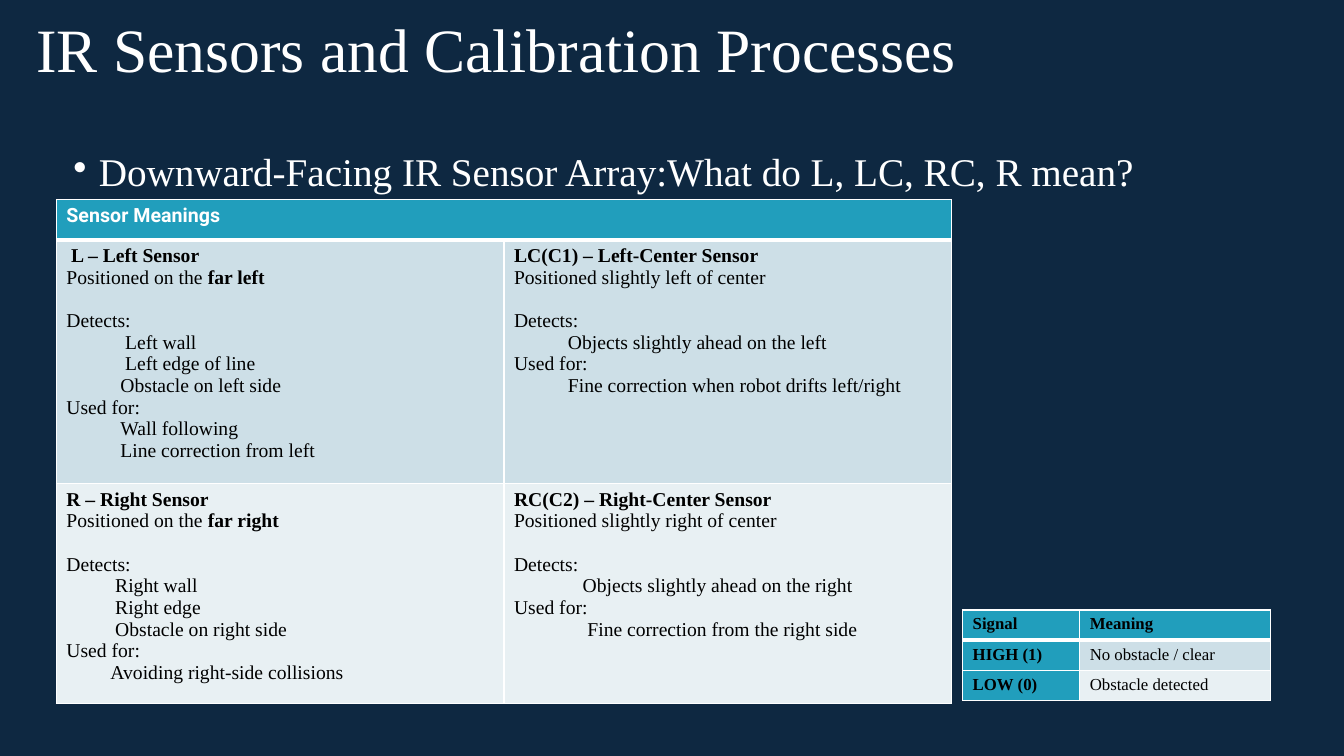
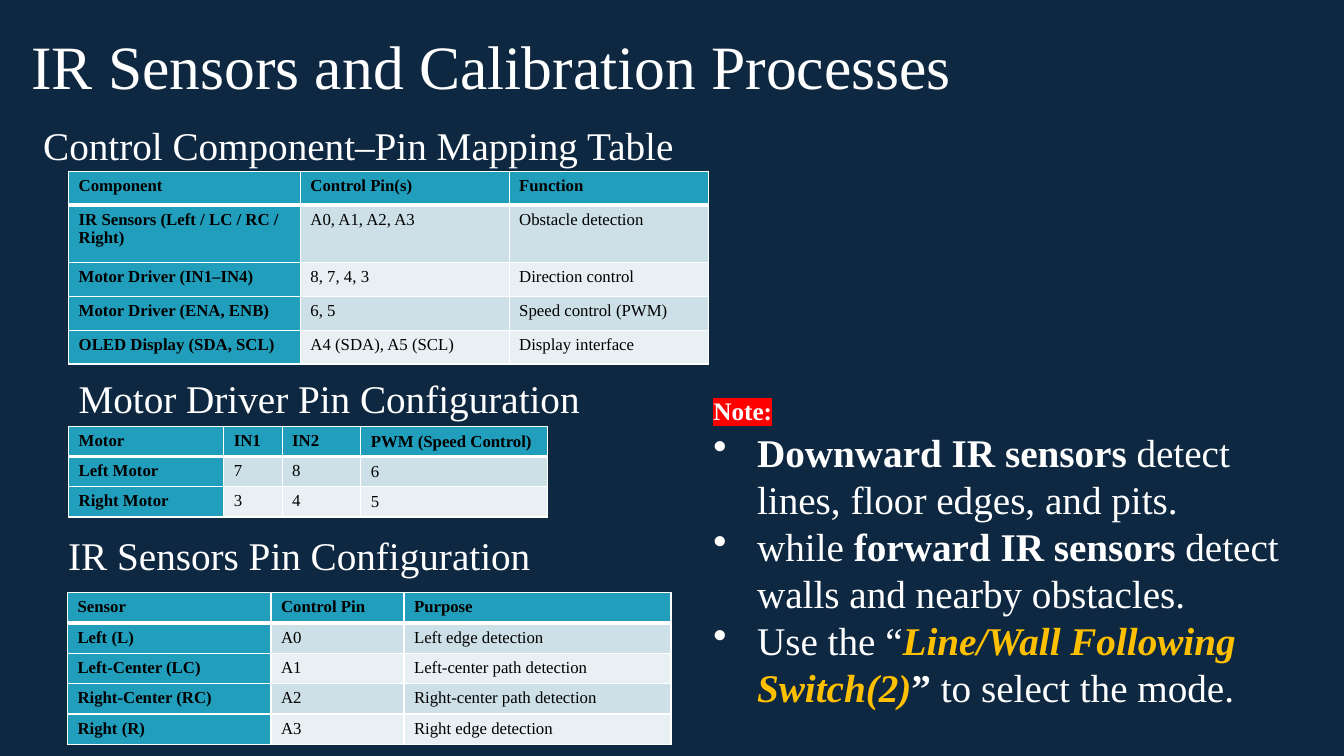
import pptx
import pptx.dml.color
import pptx.enum.text
import pptx.oxml.ns
import pptx.util
from lxml import etree
from pptx.util import Cm

# Shared look
NAVY, TEAL, WHITE, BLACK = "0E2841", "219EBC", "FFFFFF", "000000"
BAND_FILLS = ("CDDFE7", "E8F0F3")
RED, AMBER = "FF0000", "FFC000"
SERIF, SANS = "Times New Roman", "Roboto"
TITLE = "IR Sensors and Calibration Processes"
MIDDLE = pptx.enum.text.MSO_ANCHOR.MIDDLE
LEFT = pptx.enum.text.PP_ALIGN.LEFT
qn = pptx.oxml.ns.qn

# Table contents: sensor paragraphs are (indent in cm, text), *bold*
DETECTS, USED_FOR = (0, "Detects:"), (0, "Used for:")
SENSORS = [
    [[(0.12, "*L – Left Sensor*"), (0, "Positioned on the *far left*"),
      DETECTS, (1.48, "Left wall"), (1.48, "Left edge of line"),
      (1.36, "Obstacle on left side"),
      USED_FOR, (1.36, "Wall following"), (1.36, "Line correction from left")],
     [(0, "*LC(C1) – Left-Center Sensor*"),
      (0, "Positioned slightly left of center"),
      DETECTS, (1.36, "Objects slightly ahead on the left"),
      USED_FOR, (1.36, "Fine correction when robot drifts left/right")]],
    [[(0, "*R – Right Sensor*"), (0, "Positioned on the *far right*"),
      DETECTS, (1.23, "Right wall"), (1.23, "Right edge"),
      (1.23, "Obstacle on right side"),
      USED_FOR, (1.11, "Avoiding right-side collisions")],
     [(0, "*RC(C2) – Right-Center Sensor*"),
      (0, "Positioned slightly right of center"),
      DETECTS, (1.73, "Objects slightly ahead on the right"),
      USED_FOR, (1.85, "Fine correction from the right side")]],
]
SIGNALS = [
    ["Signal", "Meaning"],
    ["HIGH (1)", "No obstacle / clear"],
    ["LOW (0)", "Obstacle detected"],
]
COMPONENT_PINS = [
    ["Component", "Control Pin(s)", "Function"],
    ["IR Sensors (Left / LC / RC / Right)", "A0, A1, A2, A3",
     "Obstacle detection"],
    ["Motor Driver (IN1–IN4)", "8, 7, 4, 3", "Direction control"],
    ["Motor Driver (ENA, ENB)", "6, 5", "Speed control (PWM)"],
    ["OLED Display (SDA, SCL)", "A4 (SDA), A5 (SCL)", "Display interface"],
]
MOTOR_PINS = [
    ["Motor", "IN1", "IN2", "PWM (Speed Control)"],
    ["Left Motor", "7", "8", "6"],
    ["Right Motor", "3", "4", "5"],
]
SENSOR_PINS = [
    ["Sensor", "Control Pin", "Purpose"],
    ["Left (L)", "A0", "Left edge detection"],
    ["Left-Center (LC)", "A1", "Left-center path detection"],
    ["Right-Center (RC)", "A2", "Right-center path detection"],
    ["Right (R)", "A3", "Right edge detection"],
]
NOTES = [
    "*Downward IR sensors* detect lines, floor edges, and pits.",
    "while *forward IR sensors* detect walls and nearby obstacles.",
    "Use the “*Line/Wall Following Switch(2)**”* to select the mode.",
]


def rgb(value):
    return pptx.dml.color.RGBColor.from_string(value)


# Text
def format_run(run, size, color, bold=False, font=SERIF):
    run.font.size = pptx.util.Pt(size)
    run.font.name = font
    run.font.bold = bold
    run.font.color.rgb = rgb(color)


def write(paragraph, marked_text, size, color, bold=False, font=SERIF):
    """Write text in which *asterisks* enclose bold parts."""
    for position, part in enumerate(marked_text.split("*")):
        if part:
            run = paragraph.add_run()
            run.text = part
            format_run(run, size, color, bold or position % 2 == 1, font)


def indent(paragraph, left, first=0):
    properties = paragraph._p.get_or_add_pPr()
    properties.set("marL", str(Cm(left)))
    properties.set("indent", str(Cm(first)))


def add_bullet(paragraph, hanging):
    indent(paragraph, hanging, -hanging)
    properties = paragraph._p.get_or_add_pPr()
    etree.SubElement(properties, qn("a:buChar")).set("char", "•")


def highlight(run, color):
    mark = etree.Element(qn("a:highlight"))
    etree.SubElement(mark, qn("a:srgbClr")).set("val", color)
    run.font._element.find(qn("a:solidFill")).addnext(mark)


def next_paragraph(frame, index):
    return frame.add_paragraph() if index else frame.paragraphs[0]


def add_text_box(slide, left, top, width, height):
    frame = slide.shapes.add_textbox(
        Cm(left), Cm(top), Cm(width), Cm(height)).text_frame
    frame.word_wrap = True
    return frame


def add_heading(slide, text, left, top, width, spacing=1.0):
    paragraph = add_text_box(slide, left, top, width, 1.45).paragraphs[0]
    paragraph.line_spacing = spacing
    write(paragraph, text, 28, WHITE)
    return paragraph


def add_titled_slide(prs, left, top, height):
    slide = prs.slides.add_slide(prs.slide_layouts[5])
    title = slide.shapes.title
    title.left, title.top = Cm(left), Cm(top)
    title.width, title.height = Cm(29.21), Cm(height)
    title.text_frame.text = TITLE
    title.text_frame.vertical_anchor = MIDDLE
    paragraph = title.text_frame.paragraphs[0]
    paragraph.alignment = LEFT
    paragraph.line_spacing = 0.9
    format_run(paragraph.runs[0], 44, WHITE)
    return slide


# Tables
def set_borders(cell, is_header):
    properties = cell._tc.get_or_add_tcPr()
    sides = ["lnL", "lnR", "lnT", "lnB"] if is_header else ["lnL", "lnR", "lnB"]
    for side in sides:
        points = 3 if is_header and side == "lnB" else 1
        line = etree.SubElement(properties, qn("a:" + side))
        line.set("w", str(pptx.util.Pt(points)))
        fill = etree.SubElement(line, qn("a:solidFill"))
        etree.SubElement(fill, qn("a:srgbClr")).set("val", WHITE)


def add_grid(slide, left, top, widths, heights, teal_column=True):
    table = slide.shapes.add_table(
        len(heights), len(widths), Cm(left), Cm(top),
        Cm(sum(widths)), Cm(sum(heights))).table
    for column, width in zip(table.columns, widths):
        column.width = Cm(width)
    for r, height in enumerate(heights):
        table.rows[r].height = Cm(height)
        for c in range(len(widths)):
            cell = table.cell(r, c)
            set_borders(cell, r == 0)
            is_teal = r == 0 or (teal_column and c == 0)
            cell.fill.solid()
            cell.fill.fore_color.rgb = rgb(
                TEAL if is_teal else BAND_FILLS[(r - 1) % 2])
    return table


def add_data_table(slide, left, top, widths, heights, rows):
    table = add_grid(slide, left, top, widths, heights)
    for r, row in enumerate(rows):
        for c, text in enumerate(row):
            write(table.cell(r, c).text_frame.paragraphs[0], text,
                  12, BLACK, bold=r == 0 or c == 0)
    return table


def add_sensor_meanings(slide):
    table = add_grid(slide, 1.42, 5.03, [11.28] * 2, [1.02, 5.69, 5.16],
                     teal_column=False)
    header = table.cell(0, 0)
    header.merge(table.cell(0, 1))
    write(header.text_frame.paragraphs[0], "Sensor Meanings",
          14, WHITE, bold=True, font=SANS)
    for r, row in enumerate(SENSORS, start=1):
        for c, lines in enumerate(row):
            frame = table.cell(r, c).text_frame
            for index, line in enumerate(lines):
                paragraph = next_paragraph(frame, index)
                indent(paragraph, line[0])
                if line == DETECTS:
                    paragraph.space_before = pptx.util.Pt(15.5)
                write(paragraph, line[1], 14, BLACK)


def add_note(slide):
    frame = add_text_box(slide, 17.73, 9.83, 14.81, 7.8)
    label = frame.paragraphs[0]
    label.space_after = pptx.util.Pt(2)
    write(label, "Note:", 18, WHITE, bold=True)
    highlight(label.runs[0], RED)
    for note in NOTES:
        paragraph = frame.add_paragraph()
        add_bullet(paragraph, 1.1)
        write(paragraph, note, 28, WHITE)
    switch = paragraph.runs[1]
    switch.font.italic = True
    switch.font.color.rgb = rgb(AMBER)


# Slides
def build_sensor_slide(prs):
    slide = add_titled_slide(prs, 0.66, -0.1, 2.87)
    question = add_heading(
        slide, "Downward-Facing IR Sensor Array:What do L, LC, RC, R mean?",
        1.6, 3.73, 30.86, spacing=0.9)
    add_bullet(question, 0.64)
    add_sensor_meanings(slide)
    add_data_table(slide, 24.26, 15.37, [2.95, 4.8], [0.75] * 3, SIGNALS)


def build_pin_slide(prs):
    slide = add_titled_slide(prs, 0.53, -0.08, 3.68)
    add_heading(slide, "Control Component–Pin Mapping Table",
                0.84, 3.07, 31.09, spacing=0.9)
    add_data_table(slide, 1.73, 4.32, [5.84, 5.26, 5.03],
                   [0.85, 1.45, 0.85, 0.85, 0.85], COMPONENT_PINS)
    add_heading(slide, "Motor Driver Pin Configuration", 1.73, 9.32, 13.41)
    motors = add_data_table(slide, 1.73, 10.74, [3.91, 1.47, 1.98, 4.7],
                            [0.76] * 3, MOTOR_PINS)
    for r in range(len(MOTOR_PINS)):
        motors.cell(r, 3).vertical_anchor = MIDDLE
    add_heading(slide, "IR Sensors Pin Configuration", 1.47, 13.26, 18.75)
    add_data_table(slide, 1.7, 14.94, [5.13, 3.35, 6.73],
                   [0.76] * 5, SENSOR_PINS)
    add_note(slide)


def main():
    prs = pptx.Presentation()
    prs.slide_width, prs.slide_height = Cm(33.87), Cm(19.05)
    background = prs.slide_master.background.fill
    background.solid()
    background.fore_color.rgb = rgb(NAVY)
    build_sensor_slide(prs)
    build_pin_slide(prs)
    prs.save("out.pptx")


if __name__ == "__main__":
    main()
